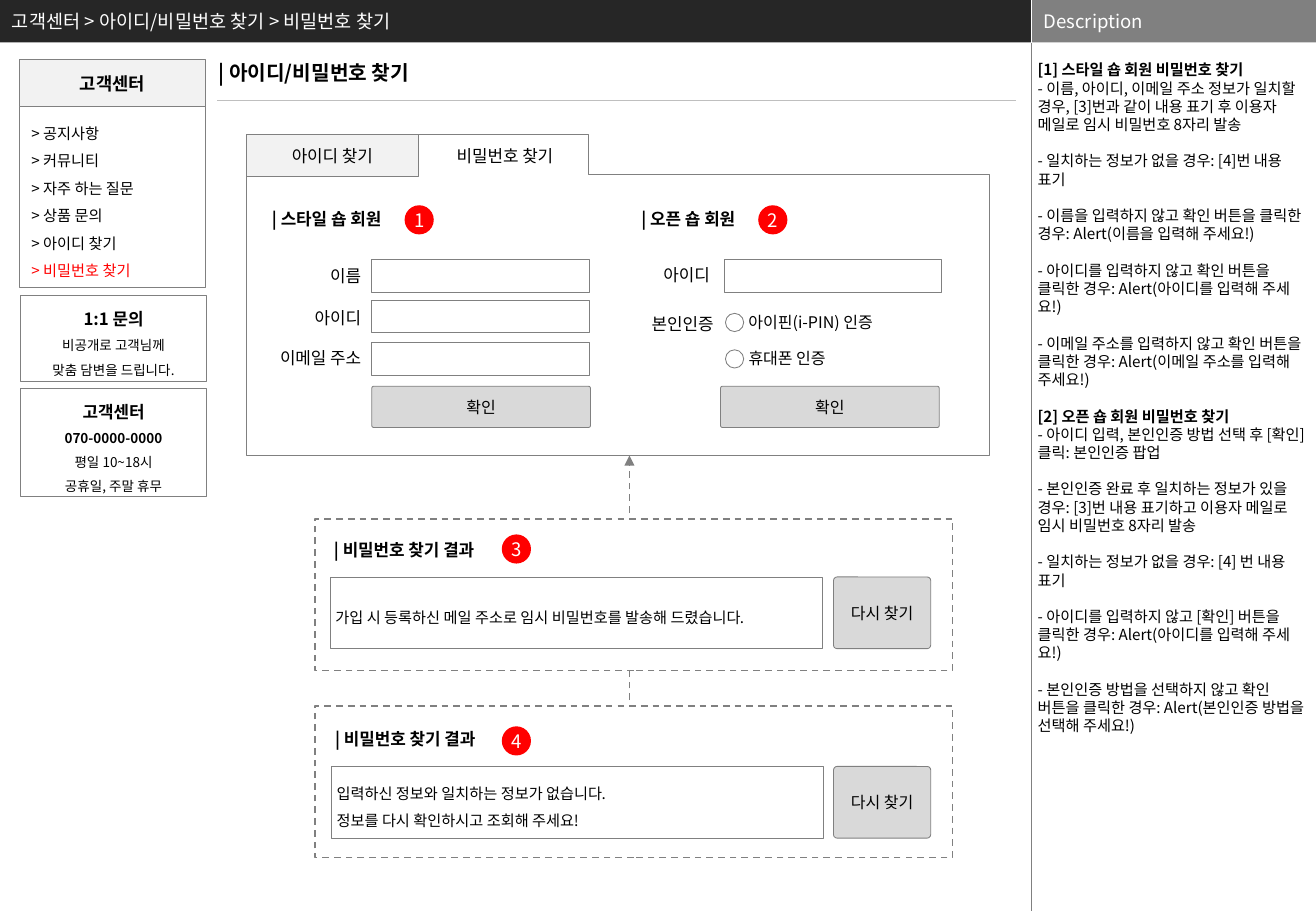
from pptx import Presentation
from pptx.dml.color import RGBColor
from pptx.enum.dml import MSO_LINE
from pptx.enum.shapes import MSO_CONNECTOR, MSO_SHAPE
from pptx.enum.text import MSO_ANCHOR, PP_ALIGN
from pptx.oxml.ns import qn
from pptx.util import Inches, Pt
from lxml import etree

RECT, ROUND, OVAL = MSO_SHAPE.RECTANGLE, MSO_SHAPE.ROUNDED_RECTANGLE, MSO_SHAPE.OVAL
LEFT, CENTER, RIGHT = PP_ALIGN.LEFT, PP_ALIGN.CENTER, PP_ALIGN.RIGHT
TOP, MIDDLE = MSO_ANCHOR.TOP, MSO_ANCHOR.MIDDLE
DASH = MSO_LINE.DASH
FONT = "Noto Sans CJK KR"
COLORS = {"white": "FFFFFF", "black": "000000", "header": "262626", "gray": "808080",
          "rule": "BFBFBF", "button": "D9D9D9", "tab": "F2F2F2", "red": "FF0000"}

BREADCRUMB = "고객센터 > 아이디/비밀번호 찾기 > 비밀번호 찾기"
PAGE_TITLE = "| 아이디/비밀번호 찾기"
MENU = ["공지사항", "커뮤니티", "자주 하는 질문", "상품 문의", "아이디 찾기", "비밀번호 찾기"]
# Card: top, height, lines of (text, size, bold)
CARDS = [
    (2.43, 0.71, [("1:1 문의", 10, True), ("비공개로 고객님께", 8, False),
                  ("맞춤 담변을 드립니다.", 8, False)]),
    (3.2, 0.89, [("고객센터", 10, True), ("070-0000-0000", 8, True),
                 ("평일 10~18시", 8, False), ("공휴일, 주말 휴무", 8, False)]),
]
PANEL = [(2.03, 1.11), (4.84, 1.11), (4.84, 1.44), (8.14, 1.44), (8.14, 3.75), (2.03, 3.75)]
# Label: text, left, top, width, alignment, bold
LABELS = [
    ("| 스타일 숍 회원", 2.14, 1.67, 1.23, LEFT, True),
    ("| 오픈 숍 회원", 5.18, 1.67, 1.09, LEFT, True),
    ("이름", 2.59, 2.14, 0.48, RIGHT, False),
    ("아이디", 2.43, 2.48, 0.64, RIGHT, False),
    ("이메일 주소", 2.12, 2.81, 0.95, RIGHT, False),
    ("아이디", 5.3, 2.13, 0.64, RIGHT, False),
    ("본인인증", 5.18, 2.53, 0.79, RIGHT, False),
]
FIELDS = [(3.06, 2.14), (3.06, 2.47), (3.06, 2.82), (5.96, 2.14)]
CONFIRM_LEFTS = [3.06, 5.93]
RADIOS = [("아이핀(i-PIN) 인증", 2.53, 1.26), ("휴대폰 인증", 2.83, 0.88)]
BADGES = [("1", 3.33, 1.69), ("2", 6.24, 1.69), ("3", 4.13, 4.4), ("4", 4.13, 5.98)]
# Result: frame top, message left, message top, messages
RESULTS = [
    (4.27, 2.72, 4.75, ["가입 시 등록하신 메일 주소로 임시 비밀번호를 발송해 드렸습니다."]),
    (5.81, 2.73, 6.31, ["입력하신 정보와 일치하는 정보가 없습니다.",
                        "정보를 다시 확인하시고 조회해 주세요!"]),
]
DESCRIPTION = [
    ("[1] 스타일 숍 회원 비밀번호 찾기", [
        "- 이름, 아이디, 이메일 주소 정보가 일치할 경우, [3]번과 같이 내용 표기 후 "
        "이용자 메일로 임시 비밀번호 8자리 발송",
        "- 일치하는 정보가 없을 경우: [4]번 내용 표기",
        "- 이름을 입력하지 않고 확인 버튼을 클릭한 경우: Alert(이름을 입력해 주세요!)",
        "- 아이디를 입력하지 않고 확인 버튼을 클릭한 경우: Alert(아이디를 입력해 주세요!)",
        "- 이메일 주소를 입력하지 않고 확인 버튼을 클릭한 경우: "
        "Alert(이메일 주소를 입력해 주세요!)"]),
    ("[2] 오픈 숍 회원 비밀번호 찾기", [
        "- 아이디 입력, 본인인증 방법 선택 후 [확인] 클릭: 본인인증 팝업",
        "- 본인인증 완료 후 일치하는 정보가 있을 경우: [3]번 내용 표기하고 "
        "이용자 메일로 임시 비밀번호 8자리 발송",
        "- 일치하는 정보가 없을 경우: [4] 번 내용 표기",
        "- 아이디를 입력하지 않고 [확인] 버튼을 클릭한 경우: Alert(아이디를 입력해 주세요!)",
        "- 본인인증 방법을 선택하지 않고 확인 버튼을 클릭한 경우: "
        "Alert(본인인증 방법을 선택해 주세요!)"]),
]

presentation = Presentation()
presentation.slide_width, presentation.slide_height = Inches(10.83), Inches(7.5)
slide = presentation.slides.add_slide(presentation.slide_layouts[6])


def rgb(name):
    return RGBColor.from_string(COLORS[name])


def paint(shape, fill=None, line=None, weight=0.5, dash=None):
    shape.shadow.inherit = False
    if fill:
        shape.fill.solid()
        shape.fill.fore_color.rgb = rgb(fill)
    else:
        shape.fill.background()
    if line:
        shape.line.color.rgb = rgb(line)
        shape.line.width = Pt(weight)
        shape.line.dash_style = dash
    else:
        shape.line.fill.background()


def add_box(kind, left, top, width, height, *style, radius=0):
    shape = slide.shapes.add_shape(kind, *map(Inches, (left, top, width, height)))
    paint(shape, *style)
    if kind == ROUND:
        shape.adjustments[0] = radius
    return shape


def write(shape, lines, align=LEFT, anchor=MIDDLE, insets=(0.1, 0.05), wrap=True,
          leading=None):
    """Fill a shape with (text, size, bold, color, points before) lines.

    leading is the line pitch as a multiple of the font size.
    """
    frame = shape.text_frame
    frame.word_wrap = wrap
    frame.vertical_anchor = anchor
    frame.margin_left = frame.margin_right = Inches(insets[0])
    frame.margin_top = frame.margin_bottom = Inches(insets[1])
    for index, (text, size, bold, color, before) in enumerate(lines):
        paragraph = frame.add_paragraph() if index else frame.paragraphs[0]
        paragraph.alignment = align
        paragraph.space_before = Pt(before)
        if leading:
            paragraph.line_spacing = Pt(size * leading)
        run = paragraph.add_run()
        run.text = text
        run.font.size, run.font.bold, run.font.name = Pt(size), bold, FONT
        run.font.color.rgb = rgb(color)
        east_asian = etree.SubElement(run.font._element, qn("a:ea"))
        east_asian.set("typeface", FONT)


def line_of(text, size, bold=False, color="black", before=0):
    return text, size, bold, color, before


def add_text(text, left, top, width, height, size=10, bold=False, color="black", **layout):
    box = slide.shapes.add_textbox(*map(Inches, (left, top, width, height)))
    write(box, [line_of(text, size, bold, color)], **layout)


def add_line(x1, y1, x2, y2, color, weight, dash=None, arrow=False):
    connector = slide.shapes.add_connector(
        MSO_CONNECTOR.STRAIGHT, *map(Inches, (x1, y1, x2, y2)))
    connector.line.color.rgb = rgb(color)
    connector.line.width = Pt(weight)
    connector.line.dash_style = dash
    properties = connector._element.spPr
    if arrow:
        etree.SubElement(properties.find(qn("a:ln")), qn("a:tailEnd")).set("type", "triangle")
    etree.SubElement(properties, qn("a:effectLst"))


def add_button(text, left, top, width, height):
    button = add_box(ROUND, left, top, width, height, "button", "gray", radius=0.05)
    write(button, [line_of(text, 9.5)], CENTER, insets=(0.05, 0.05))


# Header and description column
add_box(RECT, 0, 0, 8.49, 0.35, "header")
add_box(RECT, 8.49, 0, 2.34, 0.35, "gray")
add_line(8.49, 0, 8.49, 0.35, "white", 0.25)
add_line(8.49, 0.35, 8.49, 7.5, "gray", 0.25)
add_text(BREADCRUMB, 0, 0, 8.25, 0.35, 11, color="white")
add_text("Description", 8.49, 0, 2.34, 0.34, 11, color="white")
notes = []
for heading, items in DESCRIPTION:
    notes.append(line_of(heading, 9, True, before=10.8 if notes else 0))
    notes += [line_of(item, 9, before=10.8 if index else 0)
              for index, item in enumerate(items)]
description = slide.shapes.add_textbox(*map(Inches, (8.5, 0.5, 2.34, 7)))
write(description, notes, anchor=TOP, insets=(0.04, 0), leading=1.2)

# Side menu and cards
menu = add_box(ROUND, 0.16, 0.88, 1.53, 1.49, None, "gray")
write(menu, [line_of("> " + item, 9, color="red" if item == MENU[-1] else "black")
             for item in MENU], leading=1.8)
menu_title = add_box(ROUND, 0.16, 0.49, 1.53, 0.39, "tab", "gray")
write(menu_title, [line_of("고객센터", 10.5, True)], CENTER)
for top, height, lines in CARDS:
    card = add_box(RECT, 0.17, top, 1.53, height, None, "gray")
    write(card, [line_of(*line) for line in lines], CENTER, insets=(0.04, 0.04),
          wrap=False, leading=1.8)

# Page title, tabbed panel and its form
add_text(PAGE_TITLE, 1.7, 0.45, 2.72, 0.3, 12, True, anchor=TOP)
add_line(1.79, 0.83, 8.36, 0.83, "rule", 0.75)
add_line(5.18, 6.15, 5.18, 3.75, "gray", 1, DASH, arrow=True)
corners = [(Inches(x), Inches(y)) for x, y in PANEL]
outline = slide.shapes.build_freeform(*corners[0])
outline.add_line_segments(corners[1:], close=True)
paint(outline.convert_to_shape(), "white", "gray")
tab = add_box(RECT, 2.03, 1.11, 1.41, 0.34, "tab", "gray")
write(tab, [line_of("아이디 찾기", 10)], CENTER)
add_text("비밀번호 찾기", 3.45, 1.11, 1.41, 0.34, align=CENTER)
for text, left, top, width, align, bold in LABELS:
    add_text(text, left, top, width, 0.27, bold=bold, align=align, anchor=TOP, wrap=False)
for left, top in FIELDS:
    add_box(RECT, left, top, 1.79, 0.27, None, "gray")
for left in CONFIRM_LEFTS:
    add_button("확인", left, 3.18, 1.8, 0.34)
for text, top, width in RADIOS:
    add_box(OVAL, 5.97, top + 0.05, 0.15, 0.15, "white", "gray")
    add_text(text, 6.08, top, width, 0.24, 9.5, insets=(0.08, 0.04), wrap=False)

# Search results
for frame_top, left, top, messages in RESULTS:
    add_box(RECT, 2.59, frame_top, 5.25, 1.25, "white", "gray", 1, DASH)
    add_text("| 비밀번호 찾기 결과", left - 0.07, top - 0.36, 1.51, 0.27, bold=True,
             anchor=TOP, wrap=False)
    message = add_box(RECT, left, top, 4.05, 0.59, "white", "gray")
    write(message, [line_of(text, 9) for text in messages], insets=(0.04, 0.04), leading=1.8)
    add_button("다시 찾기", 6.86, top, 0.8, 0.59)
for number, left, top in BADGES:
    badge = add_box(OVAL, left, top, 0.24, 0.24, "red")
    write(badge, [line_of(number, 11, color="white")], CENTER, insets=(0, 0), wrap=False)

presentation.save("out.pptx")
